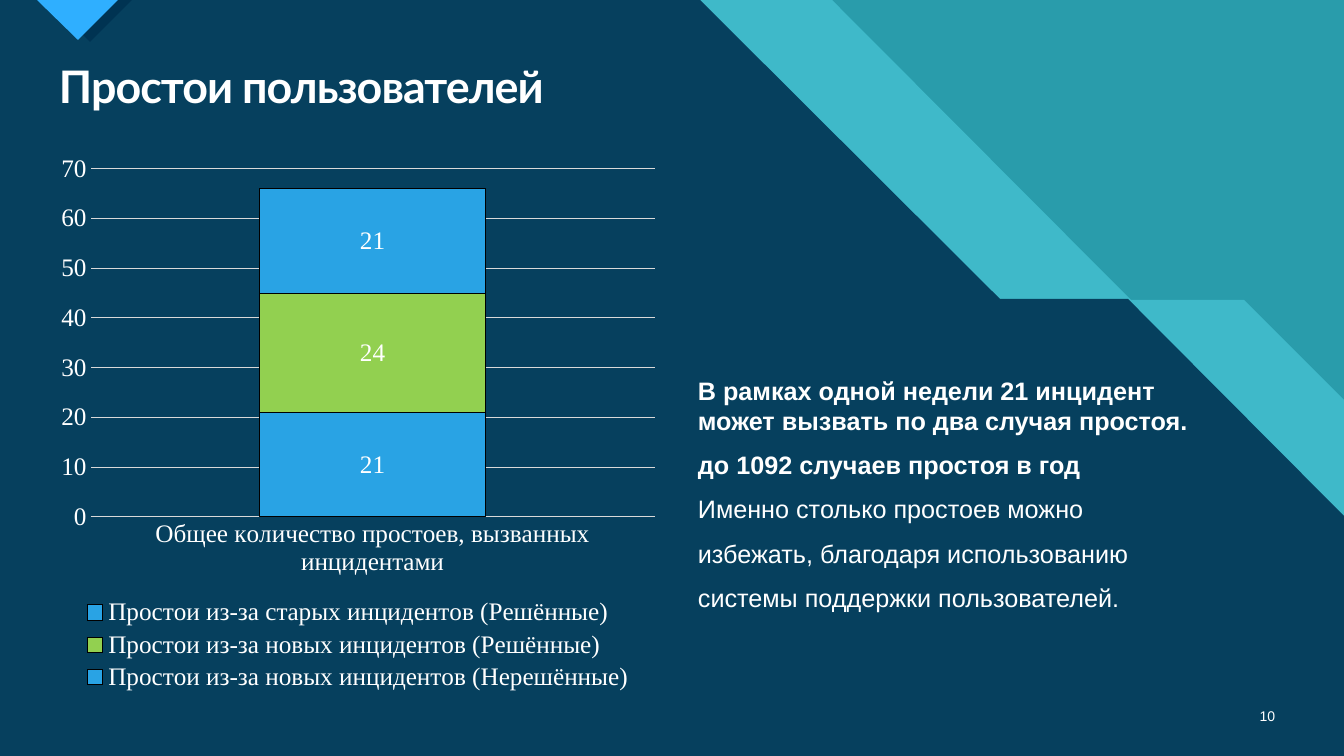
from pptx import Presentation
from pptx.chart.data import CategoryChartData
from pptx.dml.color import RGBColor
from pptx.enum.chart import XL_CHART_TYPE as CT, XL_LEGEND_POSITION as LP, XL_TICK_MARK as TM
from pptx.enum.text import MSO_ANCHOR as MA, PP_ALIGN as PA
from pptx.util import Pt

PX = 914400 / 100.8
WHITE = RGBColor(0xFF, 0xFF, 0xFF)
BLACK = RGBColor(0, 0, 0)
GRID = RGBColor(0xD9, 0xD9, 0xD9)
TEAL = RGBColor(0x29, 0x9C, 0xAB)
AQUA = RGBColor(0x3F, 0xB9, 0xC9)
NAVY = RGBColor(0x06, 0x40, 0x5E)
SHADE = RGBColor(0x00, 0x33, 0x52)
SKY = RGBColor(0x2F, 0xAF, 0xFF)
BLUE = RGBColor(0x29, 0xA3, 0xE4)
GREEN = RGBColor(0x92, 0xD0, 0x50)
SERIF = "Times New Roman"


def px(*values):
    return [round(v * PX) for v in values]


def add_text(box, paragraphs, size, font="Arial", align=PA.LEFT, anchor=MA.TOP,
             before=0, after=0, line=1.0, spacing=None):
    tf = s.shapes.add_textbox(*px(*box)).text_frame
    tf.word_wrap = True
    tf.vertical_anchor = anchor
    for i, (text, bold) in enumerate(paragraphs):
        p = tf.add_paragraph() if i else tf.paragraphs[0]
        p.alignment, p.line_spacing = align, line
        p.space_before, p.space_after = Pt(before), Pt(after)
        r = p.add_run()
        r.text = text
        r.font.name, r.font.size, r.font.bold = font, Pt(size), bold
        r.font.color.rgb = WHITE
        if spacing is not None:
            r.font._element.set("spc", str(spacing))


prs = Presentation()
prs.slide_width, prs.slide_height = px(1344, 756)
s = prs.slides.add_slide(prs.slide_layouts[6])
s.background.fill.solid()
s.background.fill.fore_color.rgb = TEAL

for color, points in (
    (AQUA, [(0, 0), (832, 0), (1131, 300), (1244, 300), (1344, 400), (1344, 756), (0, 756)]),
    (NAVY, [(0, 0), (700, 0), (1000, 299), (1128, 299), (1344, 516), (1344, 756), (0, 756)]),
    (SHADE, [(48, 0), (132, 0), (90, 42)]),
    (SKY, [(37, 0), (118, 0), (78, 40)]),
):
    outline = s.shapes.build_freeform(*points[0], scale=PX)
    outline.add_line_segments(points[1:], close=True)
    sp = outline.convert_to_shape()
    sp.shadow.inherit = False
    sp.fill.solid()
    sp.fill.fore_color.rgb = color
    sp.line.fill.background()

add_text((49, 60, 1236, 60), [("Простои пользователей", True)], 32,
         font="Lato", line=0.9, spacing=-70)
add_text((1241, 696, 44, 40), [("10", False)], 10, align=PA.RIGHT, anchor=MA.MIDDLE)
add_text((688, 370, 533, 260), [
    ("В рамках одной недели 21 инцидент может вызвать по два случая простоя.", True),
    ("до 1092 случаев простоя в год", True),
    ("Именно столько простоев можно", False),
    ("избежать, благодаря использованию", False),
    ("системы поддержки пользователей.", False),
], 18, before=6, after=4)

downtime = (
    ("Простои из-за старых инцидентов (Решённые)", 21, BLUE),
    ("Простои из-за новых инцидентов (Решённые)", 24, GREEN),
    ("Простои из-за новых инцидентов (Нерешённые)", 21, BLUE),
)
data = CategoryChartData()
data.categories = ["Общее количество простоев, вызванных инцидентами"]
for name, count, color in downtime:
    data.add_series(name, [count])
chart = s.shapes.add_chart(CT.COLUMN_STACKED, *px(49, 144, 618, 552), data).chart
chart.has_title = False
chart.has_legend = True
chart.legend.position = LP.BOTTOM
chart.legend.include_in_layout = False

plot = chart.plots[0]
plot.gap_width, plot.overlap, plot.vary_by_categories = 150, 100, False
plot.has_data_labels = True
plot.data_labels.show_value = True
for series, (name, count, color) in zip(plot.series, downtime):
    series.format.fill.solid()
    series.format.fill.fore_color.rgb = color
    series.format.line.color.rgb = BLACK
    series.format.line.width = Pt(0.75)

cat, val = chart.category_axis, chart.value_axis
for axis in (cat, val):
    axis.major_tick_mark = axis.minor_tick_mark = TM.NONE
val.minimum_scale, val.maximum_scale, val.major_unit = 0, 70, 10
val.has_major_gridlines = True
val.format.line.fill.background()
for line in (cat.format.line, val.major_gridlines.format.line):
    line.color.rgb = GRID
    line.width = Pt(0.75)
for part in (chart, chart.legend, plot.data_labels, cat.tick_labels, val.tick_labels):
    part.font.name, part.font.size = SERIF, Pt(18)
    part.font.color.rgb = WHITE

label_body = cat._element.txPr.bodyPr
label_body.set("rot", "0")
label_body.set("vert", "horz")

prs.save("out.pptx")
